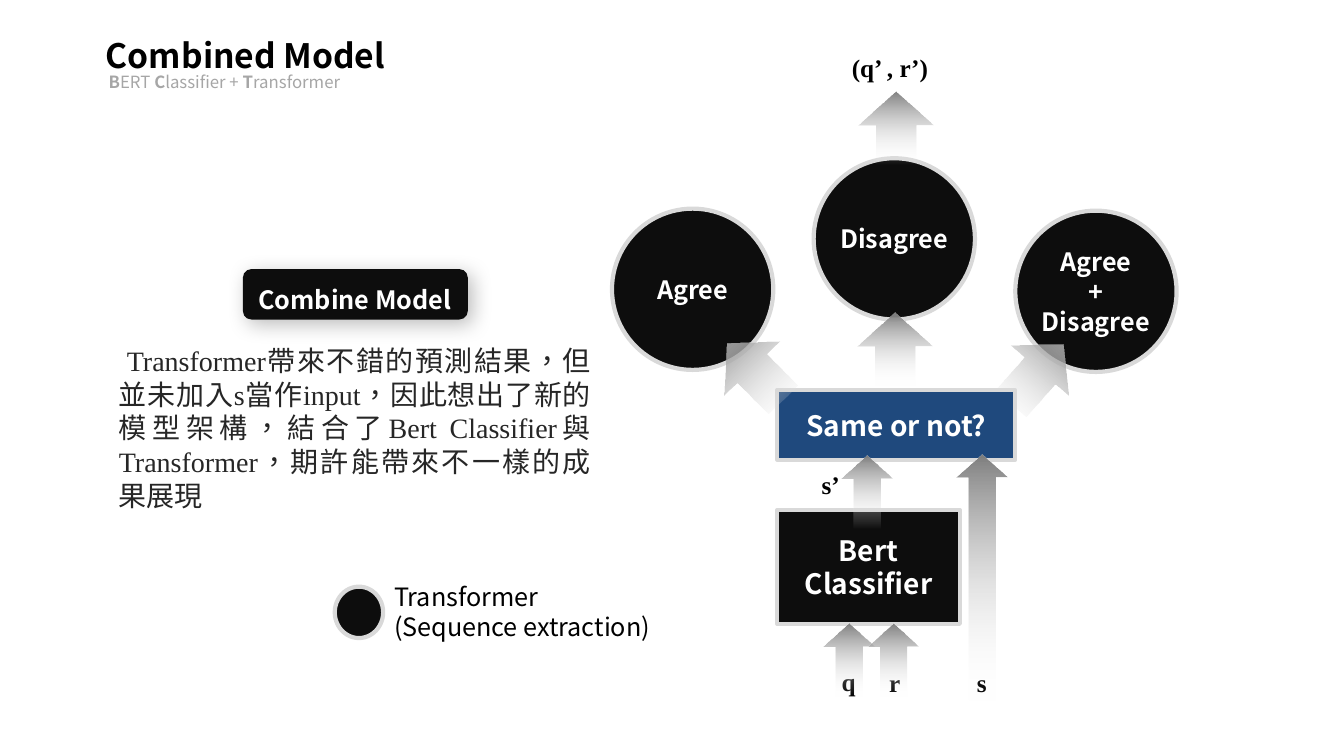
from dataclasses import dataclass

from lxml.etree import SubElement
from pptx import Presentation
from pptx.dml.color import RGBColor
from pptx.enum.shapes import MSO_SHAPE
from pptx.enum.text import MSO_ANCHOR, MSO_AUTO_SIZE, PP_ALIGN
from pptx.oxml import parse_xml
from pptx.oxml.ns import qn
from pptx.util import Inches, Pt

DRAWING = 'xmlns:a="http://schemas.openxmlformats.org/drawingml/2006/main"'


@dataclass(frozen=True)
class Theme:
    black: str = "000000"
    ink: str = "0D0D0D"
    body: str = "262626"
    white: str = "FFFFFF"
    rim: str = "D9D9D9"
    blue: str = "1F497D"
    muted: str = "A6A6A6"
    arrow: str = "808080"
    sans: str = "Noto Sans CJK JP"
    heading: str = "Noto Sans CJK SC"
    serif: str = "Times New Roman"
    title: int = 24
    large: int = 20
    normal: int = 18
    small: int = 12
    rim_width: int = 3


THEME = Theme()


@dataclass(frozen=True)
class Box:
    left: float
    top: float
    width: float
    height: float

    def inner(self, x, y, width, height):
        return Box(self.left + x, self.top + y, width, height)

    def emu(self):
        return [Inches(n) for n in (self.left, self.top, self.width, self.height)]


def write(frame, lines, size, font, color, bold=False, align=PP_ALIGN.LEFT, spacing=1.0):
    """Each line is a string or a list of (text, bold) pairs."""
    for index, line in enumerate(lines):
        para = frame.paragraphs[0] if index == 0 else frame.add_paragraph()
        para.alignment, para.line_spacing = align, spacing
        for text, strong in [(line, bold)] if isinstance(line, str) else line:
            span = para.add_run()
            span.text = text
            look = {"size": Pt(size), "name": font, "bold": strong}
            for name, value in look.items():
                setattr(span.font, name, value)
            span.font.color.rgb = RGBColor.from_string(color)
            properties = span._r.get_or_add_rPr()
            properties.set("lang", "zh-TW")
            if font != THEME.serif:
                SubElement(properties, qn("a:ea")).set("typeface", font)


def add_text(page, box, lines, size, font, color, wrap=True, anchor=MSO_ANCHOR.TOP, **style):
    frame = page.shapes.add_textbox(*box.emu()).text_frame
    frame.word_wrap, frame.vertical_anchor = wrap, anchor
    write(frame, lines, size, font, color, **style)
    frame.auto_size = MSO_AUTO_SIZE.SHAPE_TO_FIT_TEXT if anchor == MSO_ANCHOR.TOP else MSO_AUTO_SIZE.NONE


def add_node(page, box, kind, fill, lines=(), size=THEME.normal, rim=True):
    node = page.shapes.add_shape(kind, *box.emu())
    node.shadow.inherit = False
    node.fill.solid()
    node.fill.fore_color.rgb = RGBColor.from_string(fill)
    if rim:
        node.line.color.rgb = RGBColor.from_string(THEME.rim)
        node.line.width = Pt(THEME.rim_width)
    else:
        node.line.fill.background()
    frame = node.text_frame
    frame.margin_left = frame.margin_right = 0
    frame.vertical_anchor = MSO_ANCHOR.MIDDLE
    write(frame, lines, size, THEME.sans, THEME.white, bold=True, align=PP_ALIGN.CENTER)
    return node


def add_arrow(page, box, rotation=0):
    arrow = page.shapes.add_shape(MSO_SHAPE.UP_ARROW, *box.emu())
    arrow.adjustments[0], arrow.adjustments[1] = 0.528, 0.459
    arrow.rotation = rotation
    arrow.shadow.inherit = False
    arrow.line.fill.background()
    # Grey fading to fully transparent white
    arrow._element.spPr.find(qn("a:prstGeom")).addnext(parse_xml(
        f'<a:gradFill {DRAWING} rotWithShape="1"><a:gsLst>'
        f'<a:gs pos="0"><a:srgbClr val="{THEME.arrow}"/></a:gs>'
        f'<a:gs pos="100000"><a:srgbClr val="{THEME.white}"><a:alpha val="0"/></a:srgbClr></a:gs>'
        '</a:gsLst><a:lin ang="5400000" scaled="0"/></a:gradFill>'))


def add_heading(page, box):
    title = page.shapes.title
    place = box.inner(0, 0, 3.88, 0.64).emu()
    for name, value in zip(("left", "top", "width", "height"), place):
        setattr(title, name, value)
    frame = title.text_frame
    frame.word_wrap, frame.vertical_anchor = True, MSO_ANCHOR.TOP
    frame.auto_size = MSO_AUTO_SIZE.NONE
    write(frame, ["Combined Model"], THEME.title, THEME.heading, THEME.black, bold=True, spacing=1.5)
    subtitle = [("B", True), ("ERT\u00a0".replace("\u00a0", " "), False), ("C", True),
                ("lassifier + ", False), ("T", True), ("ransformer", False)]
    add_text(page, box.inner(0.03, 0.52, 5.23, 0.32), [subtitle],
             THEME.small, THEME.heading, THEME.muted, spacing=1.2)


def add_summary(page, box):
    # Badge with a soft shadow
    badge = add_node(page, box.inner(1.33, 0, 2.23, 0.5), MSO_SHAPE.ROUNDED_RECTANGLE, THEME.ink, rim=False)
    badge._element.spPr.find(qn("a:effectLst")).append(parse_xml(
        f'<a:outerShdw {DRAWING} blurRad="{Pt(15)}" dist="{Pt(5)}" dir="2700000" algn="tl" rotWithShape="0">'
        f'<a:srgbClr val="{THEME.black}"><a:alpha val="25000"/></a:srgbClr></a:outerShdw>'))
    add_text(page, box.inner(1.06, 0, 2.76, 0.45), ["Combine Model"], THEME.normal, THEME.sans, THEME.white,
             anchor=MSO_ANCHOR.MIDDLE, bold=True, align=PP_ALIGN.CENTER, spacing=1.5)
    # Explanation
    add_text(page, box.inner(0, 0.69, 4.88, 1.78),
             [" Transformer帶來不錯的預測結果，但並未加入s當作input，因此想出了新的模型架構，"
              "結合了Bert Classifier與Transformer，期許能帶來不一樣的成果展現"],
             THEME.large, THEME.serif, THEME.body, align=PP_ALIGN.JUSTIFY)


def add_legend(page, box):
    add_node(page, box.inner(0, 0.1, 0.48, 0.51), MSO_SHAPE.OVAL, THEME.ink)
    add_text(page, box.inner(0.49, 0, 3.05, 0.71), ["Transformer", "(Sequence extraction)"],
             THEME.normal, THEME.sans, THEME.black)


def add_diagram(page, box):
    # Three transformers, one per column
    transformers = [(1.67, ["Agree"]), (1.17, ["Disagree"]), (1.69, ["Agree", "+", "Disagree"])]
    for column, (top, lines) in enumerate(transformers):
        add_node(page, box.inner(0.07 + 2 * column, top, 1.6, 1.6), MSO_SHAPE.OVAL, THEME.ink, lines)
    # Arrows behind the decision block
    add_arrow(page, box.inner(2.5, 2.7, 0.75, 0.72))
    add_arrow(page, box.inner(3.9, 2.92, 0.76, 0.78), 41.3)
    # Classifier and decision blocks
    add_node(page, box.inner(1.71, 4.66, 1.81, 1.13), MSO_SHAPE.RECTANGLE, THEME.ink,
             ["Bert", "Classifier"], THEME.large)
    add_node(page, box.inner(1.71, 3.47, 2.36, 0.69), MSO_SHAPE.RECTANGLE, THEME.blue,
             ["Same or not?"], THEME.large)
    # Signal names
    for text, left, top, width in [("s’", 2.05, 4.21, 0.38), ("s", 3.59, 6.17, 0.3), ("q", 2.25, 6.16, 0.34),
                                   ("r", 2.72, 6.17, 0.31), ("(q’ , r’)", 2.35, 0.07, 1.03)]:
        add_text(page, box.inner(left, top, width, 0.4), [text], THEME.normal, THEME.serif, THEME.black,
                 wrap=False, bold=True)
    # Arrows in front
    add_arrow(page, box.inner(1.11, 2.89, 0.76, 0.78), 315.4)
    add_arrow(page, box.inner(2.51, 0.51, 0.75, 0.72))
    for left, top, height in [(2.35, 4.12, 0.72), (2.17, 5.79, 0.72), (2.61, 5.79, 0.72), (3.49, 4.11, 2.44)]:
        add_arrow(page, box.inner(left, top, 0.5, height))


def main():
    deck = Presentation()
    deck.slide_width, deck.slide_height = Inches(13.33), Inches(7.5)
    page = deck.slides.add_slide(deck.slide_layouts[5])
    add_heading(page, Box(0.95, 0.1, 5.26, 0.84))
    add_summary(page, Box(1.08, 2.67, 4.88, 2.47))
    add_diagram(page, Box(6, 0.4, 5.8, 6.6))
    add_legend(page, Box(3.32, 5.72, 3.54, 0.71))
    deck.save("out.pptx")


if __name__ == "__main__":
    main()
